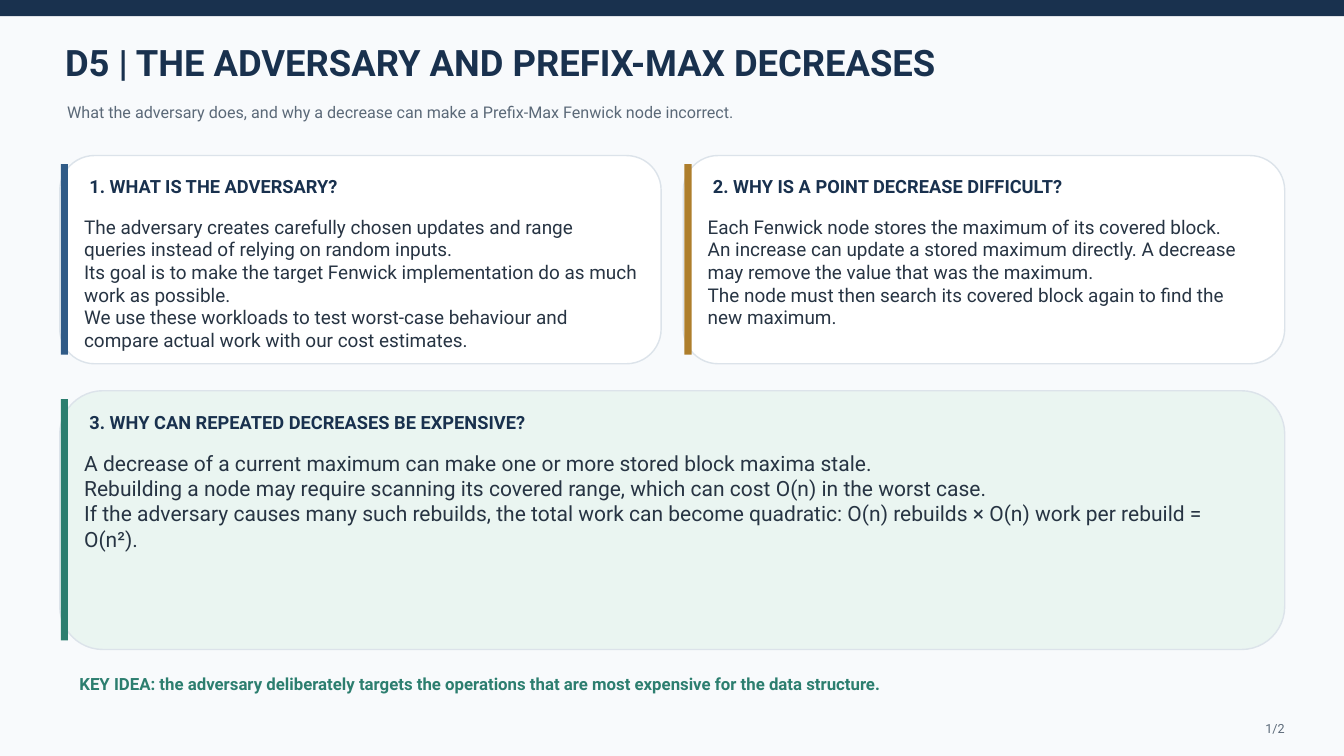
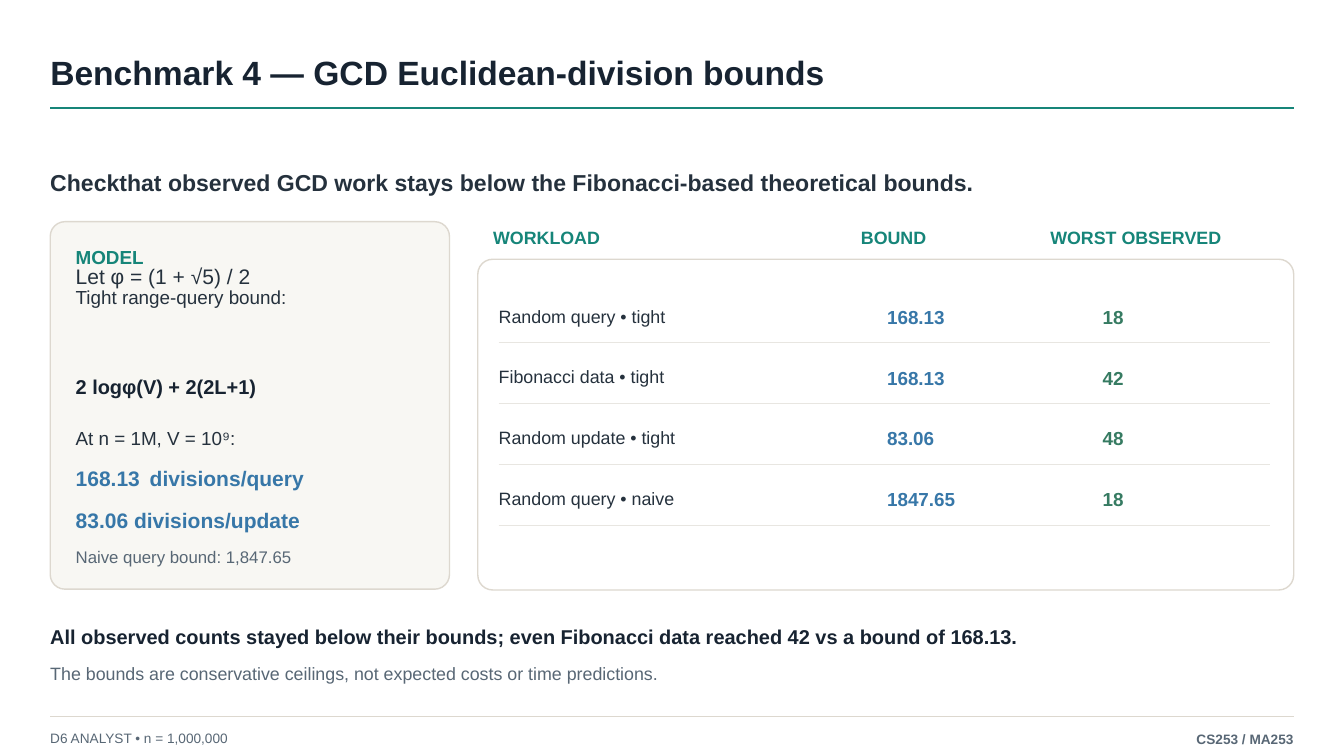
from collections import namedtuple
from dataclasses import dataclass, replace

from lxml import etree
from pptx import Presentation
from pptx.dml import color
from pptx.enum import shapes, text
from pptx.oxml import ns
from pptx.util import Cm, Pt

NAVY, SLATE, BODY, CARD_EDGE = "19314E", "5B6978", "273443", "DCE3EA"
WHITE, PAPER, MINT, CREAM = "FFFFFF", "F8FAFC", "EAF5F1", "F8F7F3"
BLUE, GOLD, GREEN = "305B87", "AE7E2C", "2C7E6F"
INK, CHARCOAL, GREY, TEAL = "172331", "25313D", "586775", "168579"
SKY, FOREST, STONE, ROW_RULE = "3777A8", "367B62", "DDD8CF", "E8E6E1"

Box = namedtuple("Box", "x y w h")


@dataclass(frozen=True)
class Style:
    """Type style with an exact line pitch in points."""
    size: float
    pitch: float
    ink: str
    bold: bool = False
    font: str = "Arial"
    align: text.PP_ALIGN = text.PP_ALIGN.LEFT
    before: float = 0


CARD_TITLE = Style(19.5, 23.4, NAVY, True, "Roboto")
CARD_TEXT = Style(20.3, 24.3, BODY, font="Roboto")
WIDE_TEXT = Style(22.5, 27, BODY, font="Roboto")
LABEL = Style(19.1, 26.8, CHARCOAL)
COLUMN_HEAD = replace(LABEL, ink=TEAL, bold=True)
FIGURE = Style(20.2, 28.4, SKY, True)
FOOTER = Style(14.6, 20.5, GREY)
CONCLUSION = Style(21.4, 29.9, INK, True)


def rgb(hex_code):
    """Turn a hex string into a colour."""
    return color.RGBColor.from_string(hex_code)


def write(frame, lines):
    """Write (words, style) pairs as paragraphs of a text frame."""
    frame.word_wrap = True
    for index, (words, style) in enumerate(lines):
        paragraph = frame.paragraphs[0] if index == 0 else frame.add_paragraph()
        paragraph.alignment = style.align
        paragraph.line_spacing = Pt(style.pitch)
        paragraph.space_before = Pt(style.before)
        run = paragraph.add_run()
        run.text = words
        run.font.size = Pt(style.size)
        run.font.name = style.font
        run.font.bold = style.bold
        run.font.color.rgb = rgb(style.ink)


def fill_frame(holder, box, lines):
    """Place a text holder without insets and write its lines."""
    holder.left, holder.top, holder.width, holder.height = map(Cm, box)
    frame = holder.text_frame
    frame.margin_left = frame.margin_right = 0
    frame.margin_top = frame.margin_bottom = 0
    frame.vertical_anchor = text.MSO_ANCHOR.TOP
    frame.auto_size = text.MSO_AUTO_SIZE.NONE
    write(frame, lines)


def label(slide, box, *lines):
    """Add a text box."""
    fill_frame(slide.shapes.add_textbox(0, 0, 0, 0), box, lines)


def panel(slide, box, fill, edge=None, rounding=None):
    """Add a rectangle, rounded by a share of its short side if asked."""
    kind = shapes.MSO_SHAPE.ROUNDED_RECTANGLE if rounding else shapes.MSO_SHAPE.RECTANGLE
    block = slide.shapes.add_shape(kind, *map(Cm, box))
    block.shadow.inherit = False
    block.fill.solid()
    block.fill.fore_color.rgb = rgb(fill)
    if rounding:
        block.adjustments[0] = rounding
    if edge:
        block.line.color.rgb = rgb(edge)
        block.line.width = Pt(1.5)
    else:
        block.line.fill.background()


def rule(slide, x, y, width, ink, weight):
    """Add a horizontal line."""
    line = slide.shapes.add_connector(
        shapes.MSO_CONNECTOR.STRAIGHT, Cm(x), Cm(y), Cm(x + width), Cm(y))
    line.line.color.rgb = rgb(ink)
    line.line.width = Pt(weight)
    etree.SubElement(line._element.spPr, ns.qn("a:effectLst"))


def titled_slide(deck, background, box, title, style):
    """Start a title-only slide with its background and title."""
    slide = deck.slides.add_slide(deck.slide_layouts[5])
    slide.background.fill.solid()
    slide.background.fill.fore_color.rgb = rgb(background)
    fill_frame(slide.shapes.title, box, [(title, style)])
    return slide


def question_card(slide, box, fill, accent, question, answers, style):
    """Draw a card with an accent strip, a question and its answers."""
    x, y, w, h = box
    panel(slide, box, fill, CARD_EDGE, 1 / 6)
    panel(slide, Box(x + 0.04, y + 0.32, 0.27, h - 0.66), accent)
    label(slide, Box(x + 1.12, y + 0.76, w - 2.16, 0.97), (question, CARD_TITLE))
    label(slide, Box(x + 0.92, y + 2.26, w - 1.78, h - 2.69),
          *[(answer, style) for answer in answers])


def adversary_slide(deck):
    """Build the slide on the adversary and prefix-max decreases."""
    slide = titled_slide(deck, PAPER, Box(2.46, 1.5, 45.6, 1.85),
                         "D5 | THE ADVERSARY AND PREFIX-MAX DECREASES",
                         Style(39, 46.8, NAVY, True, "Roboto"))
    panel(slide, Box(0, 0, 50.8, 0.61), NAVY)
    label(slide, Box(2.54, 3.86, 45.2, 1.04),
          ("What the adversary does, and why a decrease can make a "
           "Prefix-Max Fenwick node incorrect.", Style(17.3, 20.7, SLATE, font="Roboto")))

    left, width, gap = 2.26, 46.3, 0.84
    half = (width - gap) / 2
    pair = [
        (BLUE, "1. WHAT IS THE ADVERSARY?", [
            "The adversary creates carefully chosen updates and range queries "
            "instead of relying on random inputs.",
            "Its goal is to make the target Fenwick implementation do as much "
            "work as possible.",
            "We use these workloads to test worst-case behaviour and compare "
            "actual work with our cost estimates."]),
        (GOLD, "2. WHY IS A POINT DECREASE DIFFICULT?", [
            "Each Fenwick node stores the maximum of its covered block.",
            "An increase can update a stored maximum directly. A decrease may "
            "remove the value that was the maximum.",
            "The node must then search its covered block again to find the new maximum."]),
    ]
    for column, (accent, question, answers) in enumerate(pair):
        question_card(slide, Box(left + column * (half + gap), 5.88, half, 7.87),
                      WHITE, accent, question, answers, CARD_TEXT)
    question_card(slide, Box(left, 14.77, width, 9.78), MINT, GREEN,
                  "3. WHY CAN REPEATED DECREASES BE EXPENSIVE?", [
                      "A decrease of a current maximum can make one or more stored "
                      "block maxima stale.",
                      "Rebuilding a node may require scanning its covered range, "
                      "which can cost O(n) in the worst case.",
                      "If the adversary causes many such rebuilds, the total work can "
                      "become quadratic: O(n) rebuilds × O(n) work per rebuild = O(n²)."],
                  WIDE_TEXT)
    label(slide, Box(3, 25.48, 44.48, 0.81),
          ("KEY IDEA: the adversary deliberately targets the operations that are "
           "most expensive for the data structure.",
           Style(18, 21.6, GREEN, True, "Roboto")))
    label(slide, Box(47.34, 27.25, 1.22, 0.53),
          ("1/2", Style(13.5, 16.2, SLATE, font="Roboto", align=text.PP_ALIGN.RIGHT)))


def model_card(slide, box):
    """Draw the card with the bound formula and its values."""
    panel(slide, box, CREAM, STONE, 0.04)
    x, y = box.x + 0.96, box.y
    justified = Style(20.2, 40.5, CHARCOAL, align=text.PP_ALIGN.JUSTIFY)
    label(slide, Box(x, y + 1.42, 8.15, 2.03),
          ("MODEL", Style(20.2, 10.1, TEAL, True)),
          ("Let φ = (1 + √5) / 2", Style(22.5, 11.2, CHARCOAL, before=10.1)),
          ("Tight range-query bound:", Style(20.2, 10.1, CHARCOAL, before=11.2)))
    label(slide, Box(x, y + 5.64, 8.6, 1.02), ("2 logφ(V) + 2(2L+1)", CONCLUSION))
    label(slide, Box(x, y + 7.16, 8.64, 4.34),
          ("At n = 1M, V = 10⁹:", justified),
          ("168.13 divisions/query 83.06 divisions/update",
           replace(justified, size=22.5, pitch=45, ink=SKY, bold=True)))
    label(slide, Box(x, y + 12.17, 9, 0.91),
          ("Naive query bound: 1,847.65", Style(18, 25.2, GREY)))


def clear_borders(cell):
    """Remove the four borders of a cell."""
    properties = cell._tc.get_or_add_tcPr()
    for position, side in enumerate("LRTB"):
        border = etree.Element(ns.qn(f"a:ln{side}"))
        etree.SubElement(border, ns.qn("a:noFill"))
        properties.insert(position, border)


def results_table(slide, box):
    """Draw the workload table, with its header above a bordered panel."""
    rows = [
        ("WORKLOAD", "BOUND", "WORST OBSERVED"),
        ("Random query • tight", "168.13", "18"),
        ("Fibonacci data • tight", "168.13", "42"),
        ("Random update • tight", "83.06", "48"),
        ("Random query • naive", "1847.65", "18"),
    ]
    row_indent = 0.21
    columns = [(13.9, row_indent, LABEL), (7.16, 0.99, FIGURE),
               (8.32, 1.98, replace(FIGURE, ink=FOREST))]
    head_height, row_height = 2.23, 2.3
    left, width = box.x + 0.58, sum(width for width, _, _ in columns)
    panel(slide, Box(box.x, box.y + 1.37, box.w, box.h - 1.37), WHITE, STONE, 0.045)
    grid = slide.shapes.add_table(
        len(rows), len(columns), Cm(left), Cm(box.y), Cm(width),
        Cm(head_height + row_height * (len(rows) - 1))).table
    grid.first_row = grid.horz_banding = False
    for column, (column_width, _, _) in enumerate(columns):
        grid.columns[column].width = Cm(column_width)
    for index, row in enumerate(rows):
        grid.rows[index].height = Cm(row_height if index else head_height)
        for column, (_, indent, style) in enumerate(columns):
            cell = grid.cell(index, column)
            cell.fill.background()
            cell.margin_left = Cm(indent if index else 0)
            cell.margin_top = Cm(0.75 if index else 0)
            cell.margin_right = cell.margin_bottom = 0
            cell.vertical_anchor = text.MSO_ANCHOR.TOP
            write(cell.text_frame, [(row[column], style if index else COLUMN_HEAD)])
            clear_borders(cell)
        if index:
            rule(slide, left + row_indent, box.y + head_height + index * row_height,
                 width - row_indent, ROW_RULE, 1.1)


def benchmark_slide(deck):
    """Build the slide on the GCD division bounds."""
    left, width = 1.9, 47
    slide = titled_slide(deck, WHITE, Box(left, 1.73, width, 1.75),
                         "Benchmark 4 — GCD Euclidean-division bounds",
                         Style(36, 49.5, INK, True))
    rule(slide, left, 4.08, width, TEAL, 2)
    label(slide, Box(left, 6.2, width, 1.19),
          ("Checkthat observed GCD work stays below the Fibonacci-based "
           "theoretical bounds.", Style(24.7, 34.6, CHARCOAL, True)))
    model_card(slide, Box(left, 8.38, 15.09, 13.89))
    results_table(slide, Box(18.06, 8.43, 30.84, 13.87))
    label(slide, Box(left, 23.44, width, 1.02),
          ("All observed counts stayed below their bounds; even Fibonacci data "
           "reached 42 vs a bound of 168.13.", CONCLUSION))
    label(slide, Box(left, 24.9, width, 0.94),
          ("The bounds are conservative ceilings, not expected costs or time "
           "predictions.", replace(LABEL, ink=GREY)))
    rule(slide, left, 27.07, width, STONE, 1)
    label(slide, Box(left, 27.48, 8, 0.71), ("D6 ANALYST • n = 1,000,000", FOOTER))
    label(slide, Box(left + width - 5, 27.51, 5, 0.71),
          ("CS253 / MA253", replace(FOOTER, bold=True, align=text.PP_ALIGN.RIGHT)))


def main():
    """Build and save the deck."""
    deck = Presentation()
    deck.slide_width, deck.slide_height = Cm(50.8), Cm(50.8 * 9 / 16)
    adversary_slide(deck)
    benchmark_slide(deck)
    deck.save("out.pptx")


if __name__ == "__main__":
    main()
